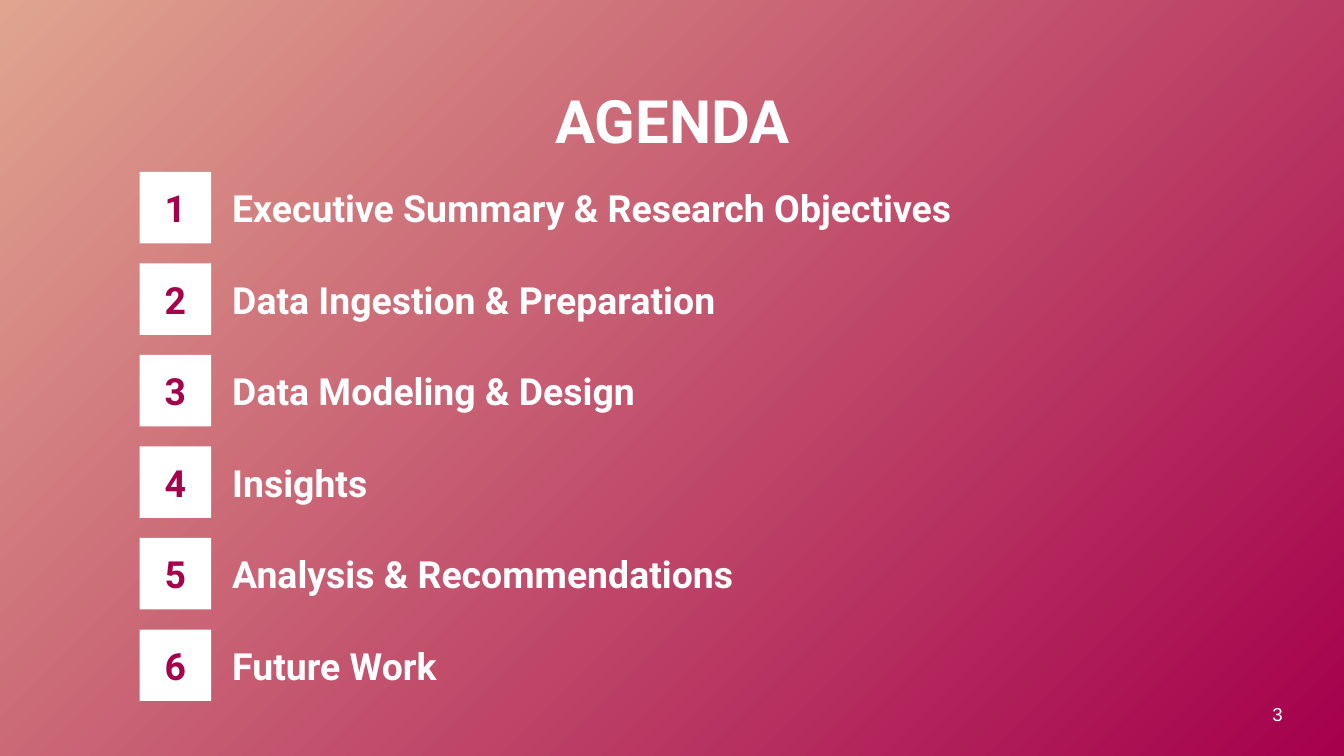
from pptx import Presentation
from pptx.dml.color import RGBColor
from pptx.enum.shapes import MSO_SHAPE
from pptx.enum.text import MSO_ANCHOR, MSO_AUTO_SIZE, PP_ALIGN
from pptx.util import Cm, Pt

COLOURS = {"white": "FFFFFF", "crimson": "A5004C", "peach": "E0A48F"}
INSET = 0.25

# Topic and the width of its label in cm
TOPICS = [
    ("Executive Summary & Research Objectives", 15.93),
    ("Data Ingestion & Preparation", 15.34),
    ("Data Modeling & Design", 15.34),
    ("Insights", 15.34),
    ("Analysis & Recommendations", 16.28),
    ("Future Work", 14.63),
]
FIRST_TOP, ROW_PITCH = 3.25, 1.73
BADGE_LEFT, BADGE_SIZE = 2.64, 1.35
LABEL_LEFT, LABEL_HEIGHT = 4.14, 1.47


def colour(name):
    return RGBColor.from_string(COLOURS[name])


def paint_background(slide):
    """Run the gradient from crimson at bottom right to peach at top left."""
    fill = slide.background.fill
    fill.gradient()
    fill.gradient_angle = 135
    for stop, position, name in zip(fill.gradient_stops, (0, 1), ("crimson", "peach")):
        stop.position = position
        stop.color.rgb = colour(name)


def write(shape, text, size, color="white", align=PP_ALIGN.LEFT, font="Roboto",
          bold=True, anchor=MSO_ANCHOR.MIDDLE, inset_y=INSET):
    frame = shape.text_frame
    frame.text = text
    frame.word_wrap = True
    frame.vertical_anchor = anchor
    frame.margin_left = frame.margin_right = Cm(INSET)
    frame.margin_top = frame.margin_bottom = Cm(inset_y)
    paragraph = frame.paragraphs[0]
    paragraph.alignment = align
    run_font = paragraph.runs[0].font
    run_font.name = font
    run_font.size = Pt(size)
    run_font.bold = bold
    run_font.color.rgb = colour(color)


def add_label(slide, left, top, width, height, text, size, **style):
    label = slide.shapes.add_textbox(Cm(left), Cm(top), Cm(width), Cm(height))
    write(label, text, size, **style)
    return label


def add_badge(slide, top, number):
    badge = slide.shapes.add_shape(
        MSO_SHAPE.RECTANGLE, Cm(BADGE_LEFT), Cm(top), Cm(BADGE_SIZE), Cm(BADGE_SIZE))
    badge.shadow.inherit = False
    badge.fill.solid()
    badge.fill.fore_color.rgb = colour("white")
    badge.line.fill.background()
    write(badge, str(number), 20, color="crimson", align=PP_ALIGN.CENTER)


def add_agenda(slide):
    for index, (topic, width) in enumerate(TOPICS):
        top = FIRST_TOP + index * ROW_PITCH
        add_badge(slide, top, index + 1)
        label_top = top + (BADGE_SIZE - LABEL_HEIGHT) / 2
        add_label(slide, LABEL_LEFT, label_top, width, LABEL_HEIGHT, topic, 20)


def add_page_number(slide, number):
    page = add_label(slide, 22.33, 13.16, 2.16, 0.69, str(number), 10,
                     align=PP_ALIGN.RIGHT, font="Arial", bold=False,
                     anchor=MSO_ANCHOR.TOP, inset_y=0.13)
    page.text_frame.auto_size = MSO_AUTO_SIZE.SHAPE_TO_FIT_TEXT


def main():
    deck = Presentation()
    deck.slide_width, deck.slide_height = Cm(25.4), Cm(14.29)
    slide = deck.slides.add_slide(deck.slide_layouts[6])
    paint_background(slide)
    add_label(slide, 2.01, 1.47, 21.41, 1.6, "AGENDA", 32, align=PP_ALIGN.CENTER)
    add_agenda(slide)
    add_page_number(slide, 3)
    deck.save("out.pptx")


if __name__ == "__main__":
    main()
